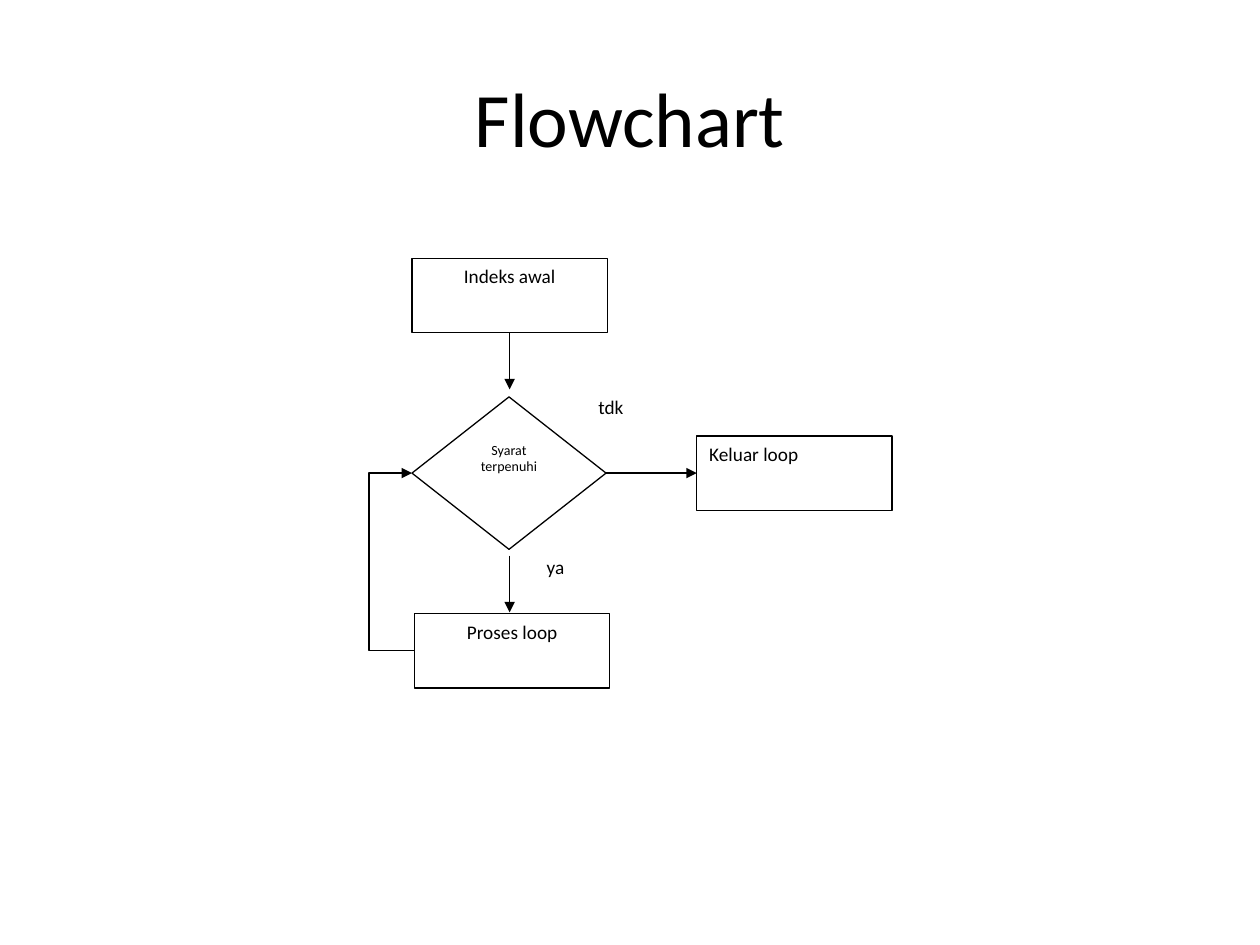
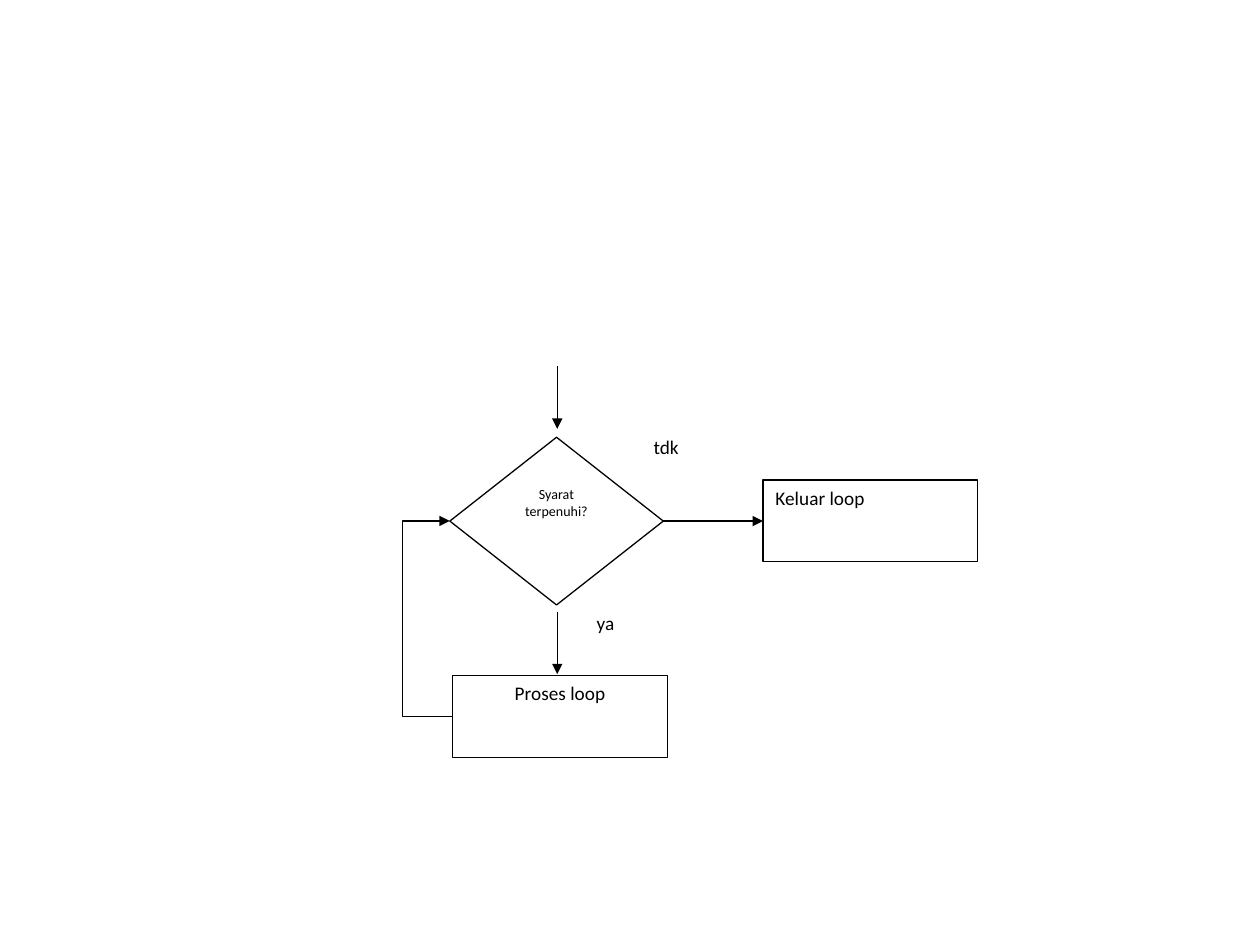
from lxml import etree
from pptx import Presentation
from pptx.dml.color import RGBColor
from pptx.enum.shapes import MSO_CONNECTOR, MSO_SHAPE
from pptx.enum.text import MSO_ANCHOR, PP_ALIGN
from pptx.oxml.ns import qn
from pptx.util import Inches, Pt

COLORS = {"ink": "000000", "paper": "FFFFFF"}
FONT = "Calibri"
LINE_WIDTH = Pt(0.75)
TOP, LEFT, BOTTOM, RIGHT = range(4)

# Flowchart sizes in inches at scale 1
BOX = (1.55, 0.59)
DIAMOND = (1.54, 1.21)
ARROW_X = BOX[0] / 2
ARROW_LENGTH = 0.45
RETURN_X = -0.34


def color(name):
    return RGBColor.from_string(COLORS[name])


def write(shape, text, size, align, anchor=MSO_ANCHOR.TOP):
    frame = shape.text_frame
    frame.word_wrap = True
    frame.vertical_anchor = anchor
    para = frame.paragraphs[0]
    para.text = text
    para.alignment = align
    para.font.name = FONT
    para.font.size = Pt(size)
    para.font.color.rgb = color("ink")


def add_title(page, text):
    box = page.shapes.add_textbox(Inches(0.5), Inches(0.3), Inches(9), Inches(1.25))
    write(box, text, 44, PP_ALIGN.CENTER, MSO_ANCHOR.MIDDLE)


class LoopChart:
    """Flowchart measured from the top left of its decision diamond."""

    def __init__(self, page, left, top, scale):
        self.page, self.left, self.top, self.scale = page, left, top, scale

    def point(self, x, y):
        return Inches(self.left + x * self.scale), Inches(self.top + y * self.scale)

    def node(self, text, x, y, size=BOX, kind=MSO_SHAPE.RECTANGLE,
             points=11, align=PP_ALIGN.CENTER, outlined=True):
        width, height = (Inches(side * self.scale) for side in size)
        shape = self.page.shapes.add_shape(kind, *self.point(x, y), width, height)
        shape.shadow.inherit = False
        shape.fill.solid()
        shape.fill.fore_color.rgb = color("paper")
        if outlined:
            shape.line.color.rgb = color("ink")
            shape.line.width = LINE_WIDTH
        else:
            shape.line.fill.background()
        write(shape, text, points, align)
        return shape

    def label(self, text, x, y, width):
        self.node(text, x, y, (width, 0.37), align=PP_ALIGN.LEFT, outlined=False)

    def arrow(self, start=(0, 0), end=(0, 0), source=None, target=None,
              kind=MSO_CONNECTOR.STRAIGHT):
        """source and target are (shape, side) pairs that replace the points."""
        line = self.page.shapes.add_connector(kind, *self.point(*start), *self.point(*end))
        if source:
            line.begin_connect(*source)
        if target:
            line.end_connect(*target)
        line.line.color.rgb = color("ink")
        line.line.width = LINE_WIDTH
        properties = line._element.spPr
        etree.SubElement(properties.find(qn("a:ln")), qn("a:tailEnd"), type="triangle")
        etree.SubElement(properties, qn("a:effectLst"))
        return line

    def down_arrow(self, y, source=None):
        self.arrow((ARROW_X, y), (ARROW_X, y + ARROW_LENGTH), source=source)

    def return_arrow(self, process, decision):
        line = self.arrow(source=(process, LEFT), target=(decision, LEFT),
                          kind=MSO_CONNECTOR.ELBOW)
        # The bend lies left of both ends, as a share of the connector's width
        reach = line.begin_x - self.point(RETURN_X, 0)[0]
        bend = round(100000 * reach / (line.begin_x - line.end_x))
        guides = line._element.spPr.find(qn("a:prstGeom")).find(qn("a:avLst"))
        etree.SubElement(guides, qn("a:gd"), name="adj1", fmla=f"val {bend}")

    def draw(self, condition, first_step=None):
        # Entry
        source = None
        if first_step:
            source = (self.node(first_step, 0, -1.1), BOTTOM)
        self.down_arrow(-0.51, source)

        # Decision and loop body
        decision = self.node(condition, 0, 0, DIAMOND, MSO_SHAPE.DIAMOND, points=8)
        process = self.node("Proses loop", 0.02, 1.72)
        self.down_arrow(1.26)
        self.return_arrow(process, decision)

        # Exit
        leave = self.node("Keluar loop", 2.26, (DIAMOND[1] - BOX[1]) / 2,
                          align=PP_ALIGN.LEFT)
        self.arrow(source=(decision, RIGHT), target=(leave, LEFT))

        # Branch labels
        self.label("tdk", 1.38, -0.06, 0.87)
        self.label("ya", 0.97, 1.21, 0.59)


def main():
    deck = Presentation()
    deck.slide_width, deck.slide_height = Inches(10), Inches(7.5)
    blank = deck.slide_layouts[6]

    page = deck.slides.add_slide(blank)
    add_title(page, "Flowchart")
    LoopChart(page, 3.27, 3.15, 1).draw("Syarat terpenuhi", "Indeks awal")

    page = deck.slides.add_slide(blank)
    LoopChart(page, 3.57, 3.47, 1.1).draw("Syarat terpenuhi?")

    deck.save("out.pptx")


if __name__ == "__main__":
    main()
